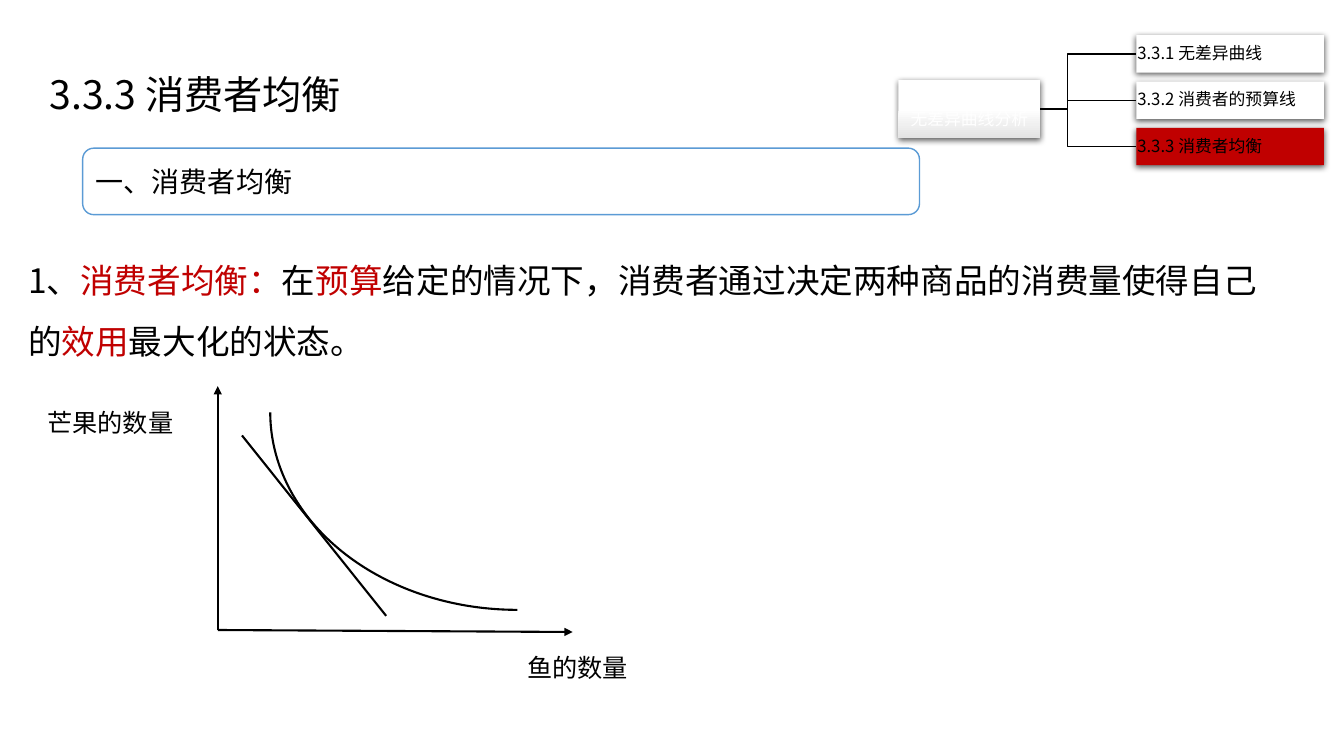
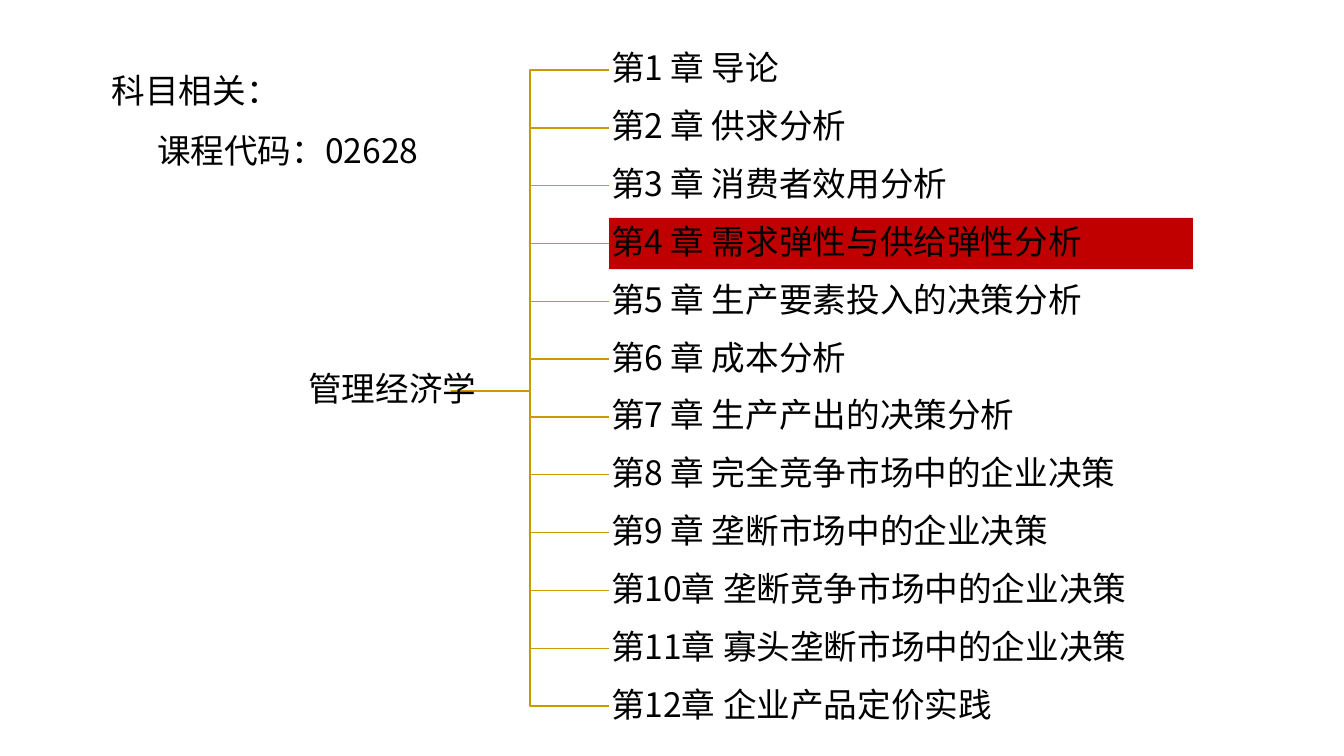
from dataclasses import dataclass

from lxml.etree import SubElement
from pptx import Presentation
from pptx.dml.color import RGBColor
from pptx.enum.shapes import MSO_CONNECTOR, MSO_SHAPE
from pptx.enum.text import MSO_ANCHOR, PP_ALIGN
from pptx.oxml.ns import qn
from pptx.util import Inches, Pt

FONT = "Noto Sans CJK SC"
COLORS = {
    "black": "000000",
    "white": "FFFFFF",
    "red": "C00000",
    "gold": "CC9A00",
    "blue": "5B9BD5",
    "gray": "E3E3E3",
}


@dataclass(frozen=True)
class Tree:
    """Boxes in a column, each joined to the root by an elbow line."""
    labels: tuple[str, ...]
    active: int
    left: float
    top: float
    width: float
    height: float
    pitch: float
    root_x: float
    root_y: float
    size: int
    inset: float
    line: str
    shadow: bool


SECTIONS = Tree(
    labels=("3.3.1 无差异曲线", "3.3.2 消费者的预算线", "3.3.3 消费者均衡"),
    active=2, left=11.27, top=0.35, width=1.86, height=0.37, pitch=0.46,
    root_x=9.91, root_y=1.08, size=12, inset=0.01, line="black", shadow=True,
)
CHAPTERS = Tree(
    labels=(
        "第1 章 导论",
        "第2 章 供求分析",
        "第3 章 消费者效用分析",
        "第4 章 需求弹性与供给弹性分析",
        "第5 章 生产要素投入的决策分析",
        "第6 章 成本分析",
        "第7 章 生产产出的决策分析",
        "第8 章 完全竞争市场中的企业决策",
        "第9 章 垄断市场中的企业决策",
        "第10章 垄断竞争市场中的企业决策",
        "第11章 寡头垄断市场中的企业决策",
        "第12章 企业产品定价实践",
    ),
    active=3, left=6.04, top=0.44, width=5.79, height=0.51, pitch=6.31 / 11,
    root_x=4.47, root_y=3.88, size=24, inset=0.02, line="gold", shadow=False,
)


def rgb(name: str) -> RGBColor:
    return RGBColor.from_string(COLORS[name])


def write(sp, *paragraphs, size=24, color="black", align=PP_ALIGN.LEFT,
          anchor=MSO_ANCHOR.TOP, spacing=1.0, inset=(0.1, 0.05, 0.1, 0.05),
          indents=()):
    """Fill a shape; a paragraph is a string or a list of (text, colour)."""
    tf = sp.text_frame
    tf.word_wrap = True
    tf.vertical_anchor = anchor
    (tf.margin_left, tf.margin_top,
     tf.margin_right, tf.margin_bottom) = map(Inches, inset)
    for i, runs in enumerate(paragraphs):
        p = tf.paragraphs[0] if i == 0 else tf.add_paragraph()
        p.alignment, p.line_spacing = align, spacing
        if i < len(indents):
            p._p.get_or_add_pPr().set("marL", str(Inches(indents[i])))
        for text, tone in [(runs, color)] if isinstance(runs, str) else runs:
            r = p.add_run()
            r.text = text
            r.font.size = Pt(size)
            r.font.color.rgb = rgb(tone)
            r.font.name = FONT
            SubElement(r.font._element, qn("a:ea"), typeface=FONT)
    return sp


def add_text(s, box, *paragraphs, **fmt):
    return write(s.shapes.add_textbox(*map(Inches, box)), *paragraphs, **fmt)


def style(sp, fill=None, line=None, width=1.0, shadow=False):
    sp.shadow.inherit = False
    if fill:
        sp.fill.solid()
        sp.fill.fore_color.rgb = rgb(fill)
    else:
        sp.fill.background()
    if line:
        sp.line.color.rgb = rgb(line)
        sp.line.width = Pt(width)
    else:
        sp.line.fill.background()
    if shadow:
        effects = sp._element.spPr.find(qn("a:effectLst"))
        outer = SubElement(effects, qn("a:outerShdw"), blurRad=str(Pt(4.5)),
                           dist=str(Pt(1.5)), dir="5400000", algn="ctr",
                           rotWithShape="0")
        tone = SubElement(outer, qn("a:srgbClr"), val=COLORS["black"])
        SubElement(tone, qn("a:alpha"), val="63000")
    return sp


def add_box(s, kind, box, **look):
    return style(s.shapes.add_shape(kind, *map(Inches, box)), **look)


def add_line(s, start, end, arrow=False):
    c = s.shapes.add_connector(MSO_CONNECTOR.STRAIGHT,
                               *map(Inches, (*start, *end)))
    c.line.color.rgb = rgb("black")
    c.line.width = Pt(1.5)
    spPr = c._element.spPr
    if arrow:
        SubElement(spPr.find(qn("a:ln")), qn("a:tailEnd"), type="triangle")
    SubElement(spPr, qn("a:effectLst"))


def add_elbow(s, start, end, color):
    (x1, y1), (x2, y2) = start, end
    mid = (x1 + x2) / 2
    fb = s.shapes.build_freeform(Inches(x1), Inches(y1))
    corners = [(mid, y1), (mid, y2), (x2, y2)]
    fb.add_line_segments([(Inches(x), Inches(y)) for x, y in corners],
                         close=False)
    style(fb.convert_to_shape(), line=color)


def add_tree(s, tree: Tree):
    tops = [tree.top + i * tree.pitch for i in range(len(tree.labels))]
    for top in reversed(tops):
        add_elbow(s, (tree.root_x, tree.root_y),
                  (tree.left, top + tree.height / 2), tree.line)
    for i, (top, label) in enumerate(zip(tops, tree.labels)):
        sp = add_box(s, MSO_SHAPE.RECTANGLE,
                     (tree.left, top, tree.width, tree.height),
                     fill="red" if i == tree.active else "white",
                     shadow=tree.shadow)
        write(sp, label, size=tree.size, anchor=MSO_ANCHOR.MIDDLE,
              spacing=0.9, inset=(tree.inset,) * 4)


def add_section_root(s):
    sp = add_box(s, MSO_SHAPE.RECTANGLE, (8.91, 0.79, 1.41, 0.58), shadow=True)
    sp.fill.gradient()
    sp.fill.gradient_angle = 270
    stops = zip(sp.fill.gradient_stops, ((0.5, "white"), (1, "gray")))
    for stop, (position, color) in stops:
        stop.position = position
        stop.color.rgb = rgb(color)
    write(sp, "无差异曲线分析", size=12, color="white", align=PP_ALIGN.CENTER,
          anchor=MSO_ANCHOR.BOTTOM, spacing=0.9, inset=(0.01, 0.01, 0.01, 0.09))


def add_equilibrium_graph(s):
    origin = (2.16, 6.25)
    add_line(s, origin, (5.68, 6.27), arrow=True)
    add_line(s, origin, (2.16, 3.83), arrow=True)
    curve = add_box(s, MSO_SHAPE.ARC, (2.68, 2.13, 4.9, 3.92),
                    line="black", width=1.5)
    curve.rotation = 180
    add_line(s, (2.4, 4.32), (3.83, 6.11))
    add_text(s, (5.13, 6.42, 1.31, 0.4), "鱼的数量", size=18)
    add_text(s, (0.37, 3.99, 1.54, 0.4), "芒果的数量", size=18)


def build_equilibrium(s):
    add_text(s, (0.37, 0.64, 9.65, 0.59), "3.3.3 消费者均衡", size=28,
             inset=(0.12, 0.06, 0.12, 0.06))
    heading = add_box(s, MSO_SHAPE.ROUNDED_RECTANGLE, (0.82, 1.47, 8.3, 0.66),
                      fill="white", line="blue")
    write(heading, "一、消费者均衡", size=20, anchor=MSO_ANCHOR.MIDDLE)
    definition = [
        ("1、", "black"),
        ("消费者均衡：", "red"),
        ("在", "black"),
        ("预算", "red"),
        ("给定的情况下，消费者通过决定两种商品的消费量使得自己的", "black"),
        ("效用", "red"),
        ("最大化的状态。", "black"),
    ]
    add_text(s, (0.18, 2.33, 12.65, 1.31), definition, spacing=1.5)
    add_tree(s, SECTIONS)
    add_section_root(s)
    add_equilibrium_graph(s)


def build_chapters(s):
    add_tree(s, CHAPTERS)
    add_text(s, (2.73, 3.3, 2.32, 1.16), "管理经济学", align=PP_ALIGN.CENTER,
             anchor=MSO_ANCHOR.MIDDLE, spacing=0.9, inset=(0.02,) * 4)
    add_text(s, (1.01, 0.44, 4, 1.31), "科目相关：", "课程代码：02628",
             spacing=1.5, indents=(0, 0.45))


def main():
    prs = Presentation()
    prs.slide_width, prs.slide_height = Inches(13.33), Inches(7.5)
    for build in (build_equilibrium, build_chapters):
        build(prs.slides.add_slide(prs.slide_layouts[6]))
    prs.save("out.pptx")


if __name__ == "__main__":
    main()
